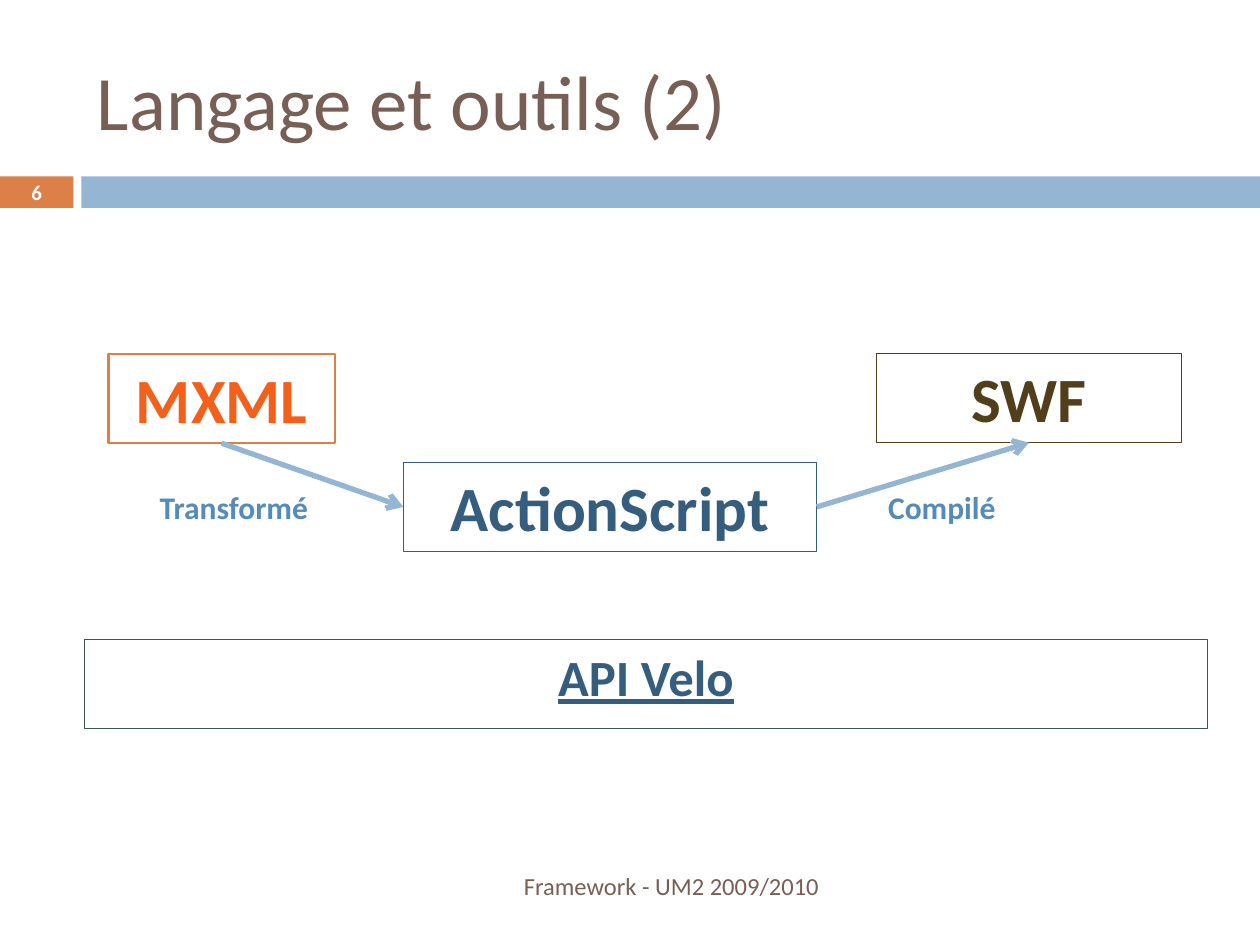
from lxml.etree import SubElement
from pptx import Presentation
from pptx.dml.color import RGBColor
from pptx.enum.shapes import MSO_CONNECTOR, MSO_SHAPE
from pptx.enum.text import MSO_ANCHOR, PP_ALIGN
from pptx.oxml.ns import qn
from pptx.util import Pt

FONT = "Calibri"
COLORS = {
    "brown": "775F55", "orange": "DD8047", "bright_orange": "F46019",
    "light_blue": "94B6D2", "blue": "558BB8", "dark_blue": "355D7E",
    "olive": "513E1B", "green": "3A5750", "white": "FFFFFF",
}

TITLE = ("Langage et outils (2)", (48.2, 18, 469.4, 77.8))

# (left, top, width, height), fill
BANDS = [
    ((0, 100.8, 42, 18), "orange"),
    ((46.5, 100.8, 673.5, 18), "light_blue"),
]

# text, (left, top, width, height), line colour, line width, text colour, size
BOXES = [
    ("MXML", (62, 202.4, 129.4, 50.9), "orange", 1.5, "bright_orange", 36),
    ("ActionScript", (230.5, 264.2, 236.2, 51), "dark_blue", 0.75, "dark_blue", 36),
    ("SWF", (500.8, 202.1, 174.4, 50.9), "olive", 0.75, "olive", 36),
    ("API Velo", (48.2, 365.5, 642, 50.7), "green", 0.75, "dark_blue", 29),
]

# text, (left, top, width, height), size, colour, bold, alignment, anchor
LABELS = [
    ("Transformé", (84.2, 275.1, 124, 29), 18, "blue", True, PP_ALIGN.LEFT, MSO_ANCHOR.TOP),
    ("Compilé", (500.4, 275.1, 90, 29), 18, "blue", True, PP_ALIGN.LEFT, MSO_ANCHOR.TOP),
    ("6", (0, 100.1, 42, 19.4), 11.9, "white", True, PP_ALIGN.CENTER, MSO_ANCHOR.MIDDLE),
    ("Framework - UM2 2009/2010", (48.2, 491.8, 427, 28.8), 14, "brown", False,
     PP_ALIGN.RIGHT, MSO_ANCHOR.MIDDLE),
]

# Connection sites of a rectangle
LEFT, BOTTOM, RIGHT = 1, 2, 3
ARROWS = [
    (("MXML", BOTTOM), ("ActionScript", LEFT)),
    (("ActionScript", RIGHT), ("SWF", BOTTOM)),
]


def color(name):
    return RGBColor.from_string(COLORS[name])


def points(frame):
    return [Pt(length) for length in frame]


def write(shape, text, size, color_name, bold, alignment, anchor):
    text_frame = shape.text_frame
    text_frame.word_wrap = True
    text_frame.vertical_anchor = anchor
    paragraph = text_frame.paragraphs[0]
    paragraph.alignment = alignment
    run = paragraph.add_run()
    run.text = text
    run.font.name = FONT
    run.font.size = Pt(size)
    run.font.bold = bold
    run.font.color.rgb = color(color_name)


def add_rectangle(slide, frame):
    shape = slide.shapes.add_shape(MSO_SHAPE.RECTANGLE, *points(frame))
    shape.shadow.inherit = False
    return shape


def add_band(slide, frame, fill):
    band = add_rectangle(slide, frame)
    band.fill.solid()
    band.fill.fore_color.rgb = color(fill)
    band.line.fill.background()


def add_box(slide, text, frame, line_color, line_width, text_color, size):
    box = add_rectangle(slide, frame)
    box.fill.background()
    box.line.color.rgb = color(line_color)
    box.line.width = Pt(line_width)
    write(box, text, size, text_color, True, PP_ALIGN.CENTER, MSO_ANCHOR.TOP)
    return box


def add_arrow(slide, boxes, start, end):
    arrow = slide.shapes.add_connector(MSO_CONNECTOR.STRAIGHT, 0, 0, 0, 0)
    arrow.begin_connect(boxes[start[0]], start[1])
    arrow.end_connect(boxes[end[0]], end[1])
    arrow.line.color.rgb = color("light_blue")
    arrow.line.width = Pt(3)
    SubElement(arrow.line._get_or_add_ln(), qn("a:tailEnd"), type="arrow")
    SubElement(arrow._element.spPr, qn("a:effectLst"))


def main():
    presentation = Presentation()
    presentation.slide_width, presentation.slide_height = Pt(720), Pt(540)
    slide = presentation.slides.add_slide(presentation.slide_layouts[5])

    text, frame = TITLE
    title = slide.shapes.title
    title.left, title.top, title.width, title.height = points(frame)
    write(title, text, 44, "brown", False, PP_ALIGN.LEFT, MSO_ANCHOR.MIDDLE)

    for band in BANDS:
        add_band(slide, *band)

    boxes = {box[0]: add_box(slide, *box) for box in BOXES}
    api_paragraph = boxes["API Velo"].text_frame.paragraphs[0]
    api_paragraph.space_before = Pt(7)
    api_paragraph.runs[0].font.underline = True

    for start, end in ARROWS:
        add_arrow(slide, boxes, start, end)

    for text, frame, *style in LABELS:
        write(slide.shapes.add_textbox(*points(frame)), text, *style)

    presentation.save("out.pptx")


if __name__ == "__main__":
    main()
